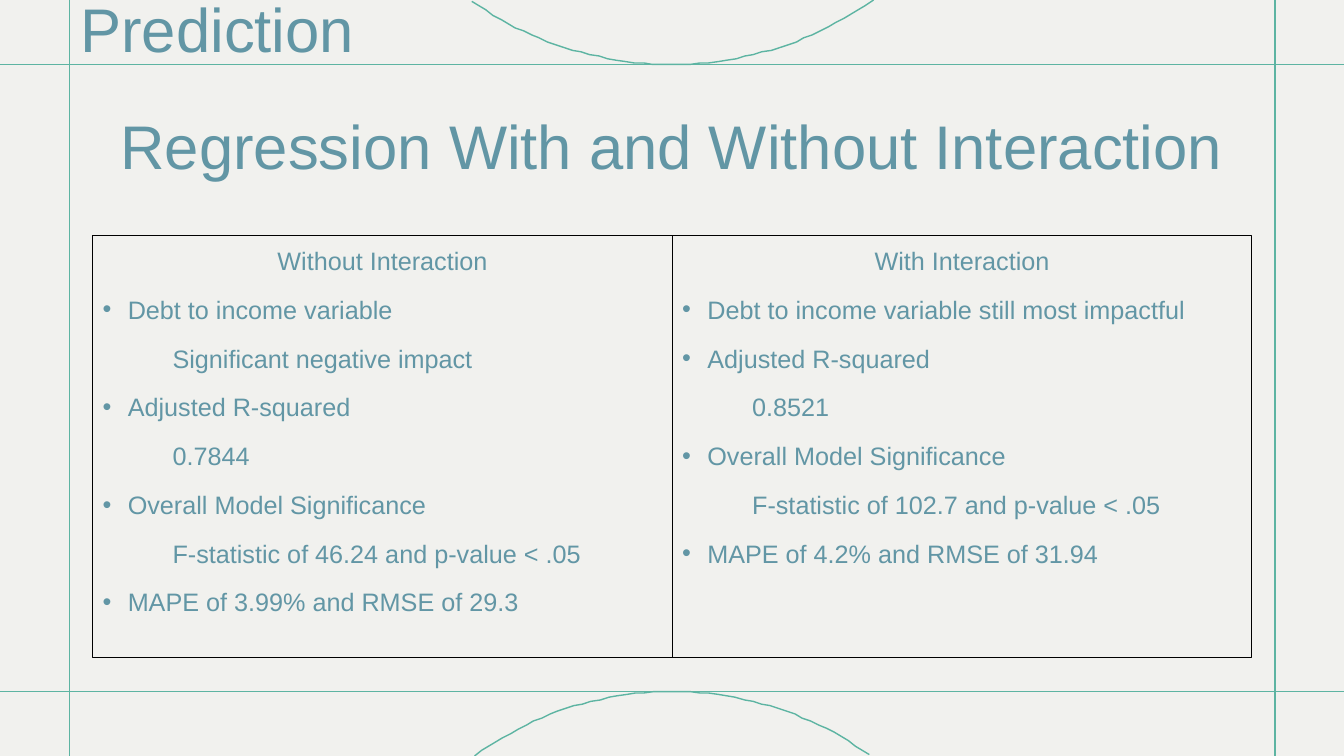
from dataclasses import dataclass

from lxml import etree
from pptx import Presentation
from pptx import util as u
from pptx.dml.color import RGBColor
from pptx.enum import shapes, text
from pptx.oxml import ns

Pt = u.Pt
WIDE, HIGH = 960, 540
PAPER, GREEN, BLUE, BLACK = "F1F1EE", "5DB4A2", "6296A5", "000000"
TOP, BASE, LEFT, RIGHT = 46, 494, 49.7, 910.8
HEAD, ITEM, SUB = "head", "item", "sub"
Point = tuple[float, float]


@dataclass
class Title:
    words: str
    left: float
    top: float
    align: text.PP_ALIGN


@dataclass
class Panel:
    left: float
    rows: list[tuple[str, str]]


RULES = [
    ((0, BASE), (WIDE, BASE)),
    ((0, TOP), (WIDE, TOP)),
    ((RIGHT, HIGH), (RIGHT, 0)),
    ((LEFT, HIGH), (LEFT, 0)),
]
# Each arc is two cubic curves that share their middle point.
ARCS = [
    [(337, 0.7), (376.6, 28.8), (426.2, TOP), (479.5, TOP),
     (533.5, TOP), (583.2, 28.8), (623.5, 0)],
    [(621.4, 539.3), (581.8, 511.2), (533.5, BASE), (480.2, BASE),
     (427, BASE), (378, 511.2), (339.1, HIGH)],
]
TITLES = [
    Title("Prediction", 50.4, -32.4, text.PP_ALIGN.LEFT),
    Title("Regression With and Without Interaction", 66.2, 51.1, text.PP_ALIGN.CENTER),
]
PANELS = [
    Panel(480.2, [
        (HEAD, "With Interaction"),
        (ITEM, "Debt to income variable still most impactful"),
        (ITEM, "Adjusted R-squared"),
        (SUB, "0.8521"),
        (ITEM, "Overall Model Significance"),
        (SUB, "F-statistic of 102.7 and p-value < .05"),
        (ITEM, "MAPE of 4.2% and RMSE of 31.94"),
    ]),
    Panel(66.2, [
        (HEAD, "Without Interaction"),
        (ITEM, "Debt to income variable"),
        (SUB, "Significant negative impact"),
        (ITEM, "Adjusted R-squared"),
        (SUB, "0.7844"),
        (ITEM, "Overall Model Significance"),
        (SUB, "F-statistic of 46.24 and p-value < .05"),
        (ITEM, "MAPE of 3.99% and RMSE of 29.3"),
    ]),
]


def tint(code: str) -> RGBColor:
    return RGBColor.from_string(code)


def style(para, size: float) -> None:
    para.font.name = "Arial"
    para.font.size = Pt(size)
    para.font.color.rgb = tint(BLUE)


def stroke(line, code: str, width: float) -> None:
    line.color.rgb = tint(code)
    line.width = Pt(width)


def draw_rule(slide, start: Point, end: Point) -> None:
    rule = slide.shapes.add_connector(
        shapes.MSO_CONNECTOR.STRAIGHT, *map(Pt, start + end))
    stroke(rule.line, GREEN, 1)
    etree.SubElement(rule._element.spPr, ns.qn("a:effectLst"))


def trace(curve: list[Point], steps: int = 24) -> list[Point]:
    """Return points along one cubic curve, without its start."""
    dots = []
    for step in range(1, steps + 1):
        t = step / steps
        parts = ((1 - t) ** 3, 3 * t * (1 - t) ** 2, 3 * t * t * (1 - t), t ** 3)
        x, y = (sum(p * c for p, c in zip(parts, axis)) for axis in zip(*curve))
        dots.append((x, y))
    return dots


def draw_arc(slide, knots: list[Point]) -> None:
    pen = slide.shapes.build_freeform(*knots[0], scale=Pt(1))
    pen.add_line_segments(trace(knots[:4]) + trace(knots[3:]), close=False)
    arc = pen.convert_to_shape()
    arc.shadow.inherit = False
    arc.fill.background()
    stroke(arc.line, GREEN, 1)


def draw_title(slide, title: Title) -> None:
    box = slide.shapes.add_textbox(Pt(title.left), Pt(title.top), Pt(828), Pt(104.4))
    frame = box.text_frame
    frame.word_wrap = True
    frame.vertical_anchor = text.MSO_ANCHOR.MIDDLE
    para = frame.paragraphs[0]
    para.text = title.words
    para.alignment = title.align
    style(para, 44)


def indent(para, kind: str) -> None:
    props = para._p.get_or_add_pPr()
    if kind == SUB:
        props.set("marL", str(Pt(50)))
    elif kind == ITEM:
        props.set("marL", str(Pt(18)))
        props.set("indent", str(-Pt(18)))
        etree.SubElement(props, ns.qn("a:buFont"), typeface="Arial")
        etree.SubElement(props, ns.qn("a:buChar"), char="•")


def draw_panel(slide, panel: Panel) -> None:
    box = slide.shapes.add_shape(
        shapes.MSO_SHAPE.RECTANGLE, Pt(panel.left), Pt(168.5), Pt(414), Pt(301))
    box.shadow.inherit = False
    box.fill.background()
    stroke(box.line, BLACK, 0.75)
    frame = box.text_frame
    frame.word_wrap = True
    frame.vertical_anchor = text.MSO_ANCHOR.TOP
    for place, (kind, words) in enumerate(panel.rows):
        para = frame.add_paragraph() if place else frame.paragraphs[0]
        para.text = words
        para.alignment = text.PP_ALIGN.CENTER if kind == HEAD else text.PP_ALIGN.LEFT
        para.line_spacing = 1.15
        para.space_before = Pt(10)
        indent(para, kind)
        style(para, 18)


def main() -> None:
    deck = Presentation()
    deck.slide_width, deck.slide_height = Pt(WIDE), Pt(HIGH)
    slide = deck.slides.add_slide(deck.slide_layouts[6])
    slide.background.fill.solid()
    slide.background.fill.fore_color.rgb = tint(PAPER)
    for start, end in RULES:
        draw_rule(slide, start, end)
    for knots in ARCS:
        draw_arc(slide, knots)
    for title in TITLES:
        draw_title(slide, title)
    for panel in PANELS:
        draw_panel(slide, panel)
    deck.save("out.pptx")


if __name__ == "__main__":
    main()
